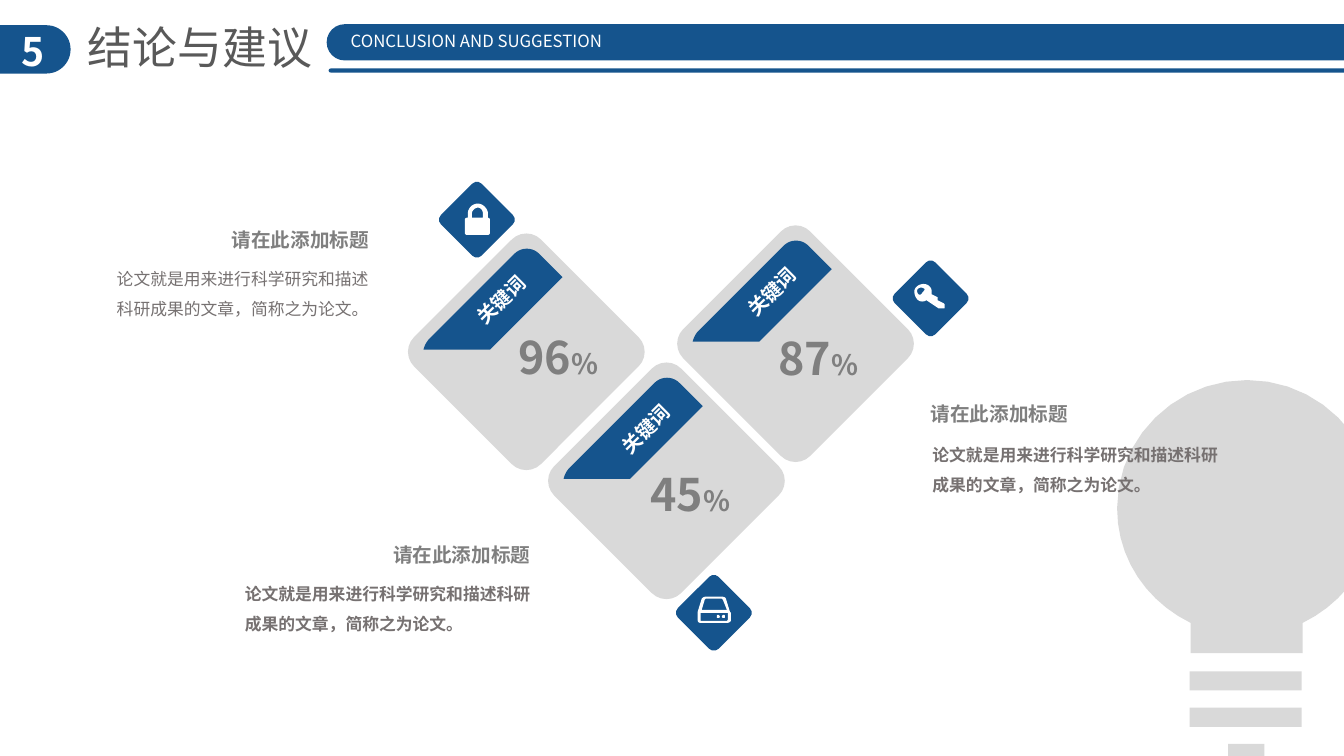
from lxml import etree
from pptx import Presentation
from pptx.dml.color import RGBColor
from pptx.enum.shapes import MSO_SHAPE
from pptx.enum.text import MSO_ANCHOR, MSO_AUTO_SIZE, PP_ALIGN
from pptx.oxml.ns import qn
from pptx.util import Pt

PX = 9144
RECT, ROUNDED = MSO_SHAPE.RECTANGLE, MSO_SHAPE.ROUNDED_RECTANGLE
TOP, MIDDLE = MSO_ANCHOR.TOP, MSO_ANCHOR.MIDDLE
LEFT, CENTER = PP_ALIGN.LEFT, PP_ALIGN.CENTER
FIXED = MSO_AUTO_SIZE.NONE
FONT = "Noto Sans CJK SC"
BLUE, SILVER, WHITE = "15548D", "D9D9D9", "FFFFFF"
DARK, GRAY, BROWN = "595959", "7F7F7F", "767171"
CURVE_STEPS = 10

HEADING = "请在此添加标题"
SUMMARY = "论文就是用来进行科学研究和描述科研成果的文章，简称之为论文。"

CARDS = [
    ((404, 231), (54, 49), "96", (100, 91)),
    ((543, 359), (58, 49), "45", (92, 99)),
    ((671, 223), (55, 49), "87", (91, 100)),
]
BADGES = [(473, 218), (923, 296), (708, 608)]
NOTES = [
    ((220, 221), (106, 252), 280, False),
    ((380, 533), (233, 564), 313, True),
    ((913, 393), (915, 427), 313, True),
]
BULB = [[(1365, 504), (1365, 434, 1307, 377, 1237, 377),
         (1166, 377, 1108, 434, 1108, 504), (1108, 555, 1138, 597, 1181, 618),
         (1181, 648), (1292, 648), (1292, 618), (1335, 597, 1365, 555, 1365, 504)]]
RIBBON = [[(131, 21), (124, 14, 113, 14, 106, 21), (22, 105),
           (19, 108, 17, 112, 16, 116), (82, 116), (154, 44)]]
LOCK = [
    [(486, 231), (486, 232, 485, 233, 484, 233), (463, 233),
     (462, 233, 461, 232, 461, 231), (461, 218), (461, 217, 462, 216, 463, 216),
     (464, 216), (464, 212), (464, 207, 468, 202, 474, 202),
     (479, 202, 484, 207, 484, 212), (484, 216), (485, 216, 486, 217, 486, 218)],
    [(479, 216), (479, 212), (479, 209, 477, 206, 474, 206),
     (471, 206, 468, 209, 468, 212), (468, 216)],
]
KEY = [
    [(916, 286), (918, 287, 917, 288, 915, 290), (914, 292, 913, 293, 911, 292),
     (910, 291, 909, 289, 910, 287), (912, 285, 914, 285, 916, 286)],
    [(914, 282), (909, 283, 906, 287, 907, 291), (908, 296, 911, 300, 916, 299),
     (917, 299, 918, 298, 919, 298), (931, 306), (933, 306), (936, 306),
     (937, 306, 937, 305, 937, 305), (937, 302), (936, 301), (930, 298),
     (930, 295), (924, 292), (924, 290, 924, 289, 924, 288),
     (923, 283, 918, 281, 914, 282)],
]
DRIVE = [
    [(725, 615), (725, 617, 723, 618, 721, 618), (695, 618),
     (693, 618, 692, 617, 692, 615), (692, 607), (696, 594),
     (697, 593, 698, 592, 700, 592), (716, 592),
     (718, 592, 720, 593, 720, 594), (724, 607), (725, 608)],
    [(722, 608), (721, 608), (695, 608), (695, 616), (721, 616), (722, 615)],
    [(721, 605), (717, 595), (716, 594), (700, 594), (699, 595), (696, 605)],
    [(712, 613), (711, 613, 711, 613, 711, 612), (711, 611, 711, 610, 712, 610),
     (713, 610, 714, 611, 714, 612), (714, 613, 713, 613, 712, 613)],
    [(718, 613), (717, 613, 716, 613, 716, 612), (716, 611, 717, 610, 718, 610),
     (719, 610, 719, 611, 719, 612), (719, 613, 719, 613, 718, 613)],
]


def rgb(value):
    return RGBColor.from_string(value)


def apply(target, formats):
    for name, value in formats.items():
        setattr(target, name, value)


def paint(shape, color):
    shape.shadow.inherit = False
    shape.fill.solid()
    shape.fill.fore_color.rgb = rgb(color)
    shape.line.fill.background()


def block(slide, kind, left, top, width, height, color, roundness=0.5):
    shape = slide.shapes.add_shape(kind, left * PX, top * PX, width * PX, height * PX)
    if kind == ROUNDED:
        shape.adjustments[0] = roundness
    paint(shape, color)
    return shape


def diamond(slide, center, side, color):
    x, y = center
    shape = block(slide, ROUNDED, x - side / 2, y - side / 2, side, side, color, 0.115)
    shape.rotation = 45


def cubic(start, curve, t):
    weights = ((1 - t) ** 3, 3 * t * (1 - t) ** 2, 3 * t * t * (1 - t), t ** 3)
    return tuple(sum(w * v for w, v in zip(weights, (start[axis], *curve[axis::2])))
                 for axis in (0, 1))


def flatten(contour):
    points = [contour[0]]
    for segment in contour[1:]:
        if len(segment) == 2:
            points.append(segment)
        else:
            start = points[-1]
            points += [cubic(start, segment, step / CURVE_STEPS)
                       for step in range(1, CURVE_STEPS + 1)]
    return points


def outline(slide, contours, color, origin=(0, 0)):
    x, y = origin
    builder = None
    for contour in contours:
        start, *rest = [((x + px) * PX, (y + py) * PX) for px, py in flatten(contour)]
        if builder is None:
            builder = slide.shapes.build_freeform(*start, scale=1.0)
        else:
            builder.move_to(*start)
        builder.add_line_segments(rest, close=True)
    paint(builder.convert_to_shape(), color)


def write(shape, runs, color, bold=False, align=LEFT, anchor=MIDDLE, wrap=False, spacing=None):
    apply(shape.text_frame, {"word_wrap": wrap, "auto_size": FIXED, "vertical_anchor": anchor})
    paragraph = shape.text_frame.paragraphs[0]
    apply(paragraph, {"alignment": align, "line_spacing": spacing})
    for words, size in runs:
        run = paragraph.add_run()
        run.text = words
        apply(run.font, {"name": FONT, "size": Pt(size), "bold": bold})
        run.font.color.rgb = rgb(color)
        etree.SubElement(run.font._element, qn("a:ea"), typeface=FONT)


def label(slide, left, top, width, height, runs, color, rotation=0, **formats):
    box = slide.shapes.add_textbox(left * PX, top * PX, width * PX, height * PX)
    box.rotation = rotation
    write(box, runs, color, **formats)


def header(slide):
    block(slide, ROUNDED, -28, 25, 98, 48, BLUE)
    label(slide, 7, 22, 51, 57, [("5", 28)], WHITE, bold=True, align=CENTER)
    title = slide.shapes.title
    apply(title, {"left": 77 * PX, "top": 14 * PX, "width": 245 * PX, "height": 64 * PX})
    write(title, [("结论与建议", 32)], DARK)
    block(slide, ROUNDED, 324, 24, 1103, 36, BLUE)
    block(slide, ROUNDED, 326, 68, 1103, 4, BLUE)
    label(slide, 328, 26, 289, 30, [("CONCLUSION AND SUGGESTION", 12)], WHITE, align=CENTER)


def bulb(slide):
    block(slide, RECT, 1218, 738, 36, 19, SILVER)
    for top in (666, 702):
        block(slide, RECT, 1180, top, 111, 19, SILVER)
    outline(slide, BULB, SILVER)


def card(slide, origin, keyword, number, percent):
    x, y = origin
    diamond(slide, (x + 118, y + 118), 178, SILVER)
    outline(slide, RIBBON, BLUE, origin)
    label(slide, x + keyword[0], y + keyword[1], 79, 34, [("关键词", 14)], WHITE,
          rotation=315.2, bold=True)
    label(slide, x + percent[0], y + percent[1], 102, 64, [(number, 32), ("%", 20)], GRAY,
          bold=True)


def note(slide, heading, summary, width, bold):
    label(slide, *heading, 158, 34, [(HEADING, 14)], GRAY, bold=True)
    label(slide, *summary, width, 69, [(SUMMARY, 12)], BROWN, bold=bold, anchor=TOP,
          wrap=True, spacing=Pt(21.4))


def main():
    deck = Presentation()
    apply(deck, {"slide_width": 1333 * PX, "slide_height": 750 * PX})
    slide = deck.slides.add_slide(deck.slide_layouts[5])
    bulb(slide)
    header(slide)
    for parts in CARDS:
        card(slide, *parts)
    for center, icon in zip(BADGES, (LOCK, KEY, DRIVE)):
        diamond(slide, center, 57, BLUE)
        outline(slide, icon, WHITE)
    for parts in NOTES:
        note(slide, *parts)
    deck.save("out.pptx")


if __name__ == "__main__":
    main()
